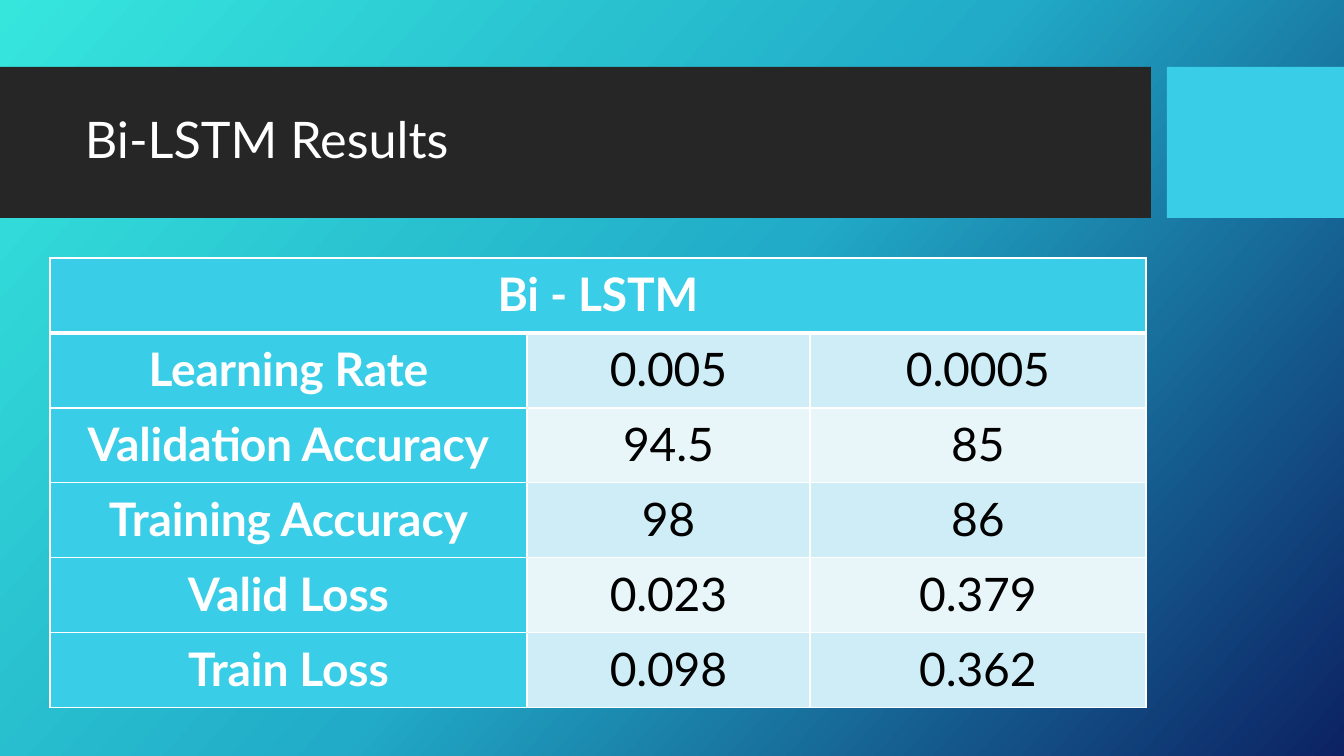
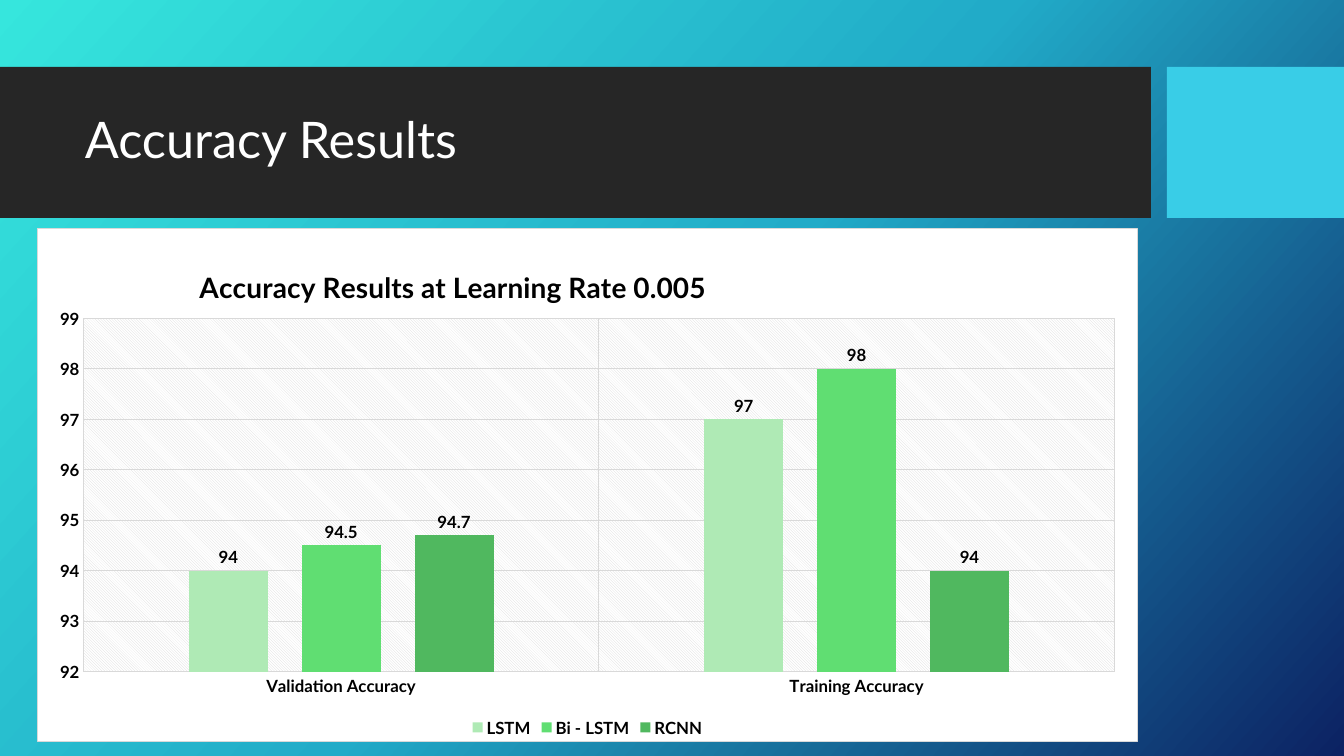
from copy import deepcopy
from dataclasses import dataclass
from typing import Optional

from lxml import etree
from pptx import Presentation, util as u
from pptx.chart.data import CategoryChartData
from pptx.dml.color import RGBColor
from pptx.enum import chart as ch, shapes, text
from pptx.oxml import parse_xml
from pptx.oxml.ns import nsdecls, qn

EMU_PER_INCH, PX_PER_INCH = 914400, 100.8
FONT = "Lato"

WHITE = RGBColor(0xFF, 0xFF, 0xFF)
BLACK = RGBColor(0x00, 0x00, 0x00)
CHARCOAL = RGBColor(0x26, 0x26, 0x26)
CYAN = RGBColor(0x39, 0xCD, 0xE7)
BAND_DARK = RGBColor(0xCE, 0xED, 0xF6)
BAND_LIGHT = RGBColor(0xE8, 0xF6, 0xFA)
GRID_GREY = RGBColor(0xD9, 0xD9, 0xD9)
BACKGROUND_STOPS = (
    (0.0, RGBColor(0x36, 0xE6, 0xDD)),
    (0.5, RGBColor(0x21, 0xAB, 0xC8)),
    (1.0, RGBColor(0x0C, 0x22, 0x63)),
)
BACKGROUND_ANGLE = 42


def px(length: int) -> int:
    return round(length * EMU_PER_INCH / PX_PER_INCH)


@dataclass(frozen=True)
class Box:
    left: int
    top: int
    width: int
    height: int

    def emu(self) -> tuple[int, int, int, int]:
        return px(self.left), px(self.top), px(self.width), px(self.height)


@dataclass(frozen=True)
class Band:
    box: Box
    color: RGBColor


@dataclass(frozen=True)
class Series:
    name: str
    values: tuple[float, ...]
    color: RGBColor


BANDS = (
    Band(Box(0, 67, 1151, 151), CHARCOAL),
    Band(Box(1167, 67, 177, 151), CYAN),
)
TITLE_BOX = Box(75, 83, 1059, 119)

TABLE_BOX = Box(50, 258, 1096, 450)
COLUMN_WIDTHS = (477, 283, 336)
RESULT_ROWS = (
    ("Bi - LSTM", "", ""),
    ("Learning Rate", "0.005", "0.0005"),
    ("Validation Accuracy", "94.5", "85"),
    ("Training Accuracy", "98", "86"),
    ("Valid Loss", "0.023", "0.379"),
    ("Train Loss", "0.098", "0.362"),
)

CHART_BOX = Box(37, 228, 1101, 514)
PLOT_BOX = Box(83, 318, 1032, 354)
CHART_TITLE_BOX = Box(194, 261, 527, 36)
CATEGORIES = ("Validation Accuracy", "Training Accuracy")
ACCURACY = (
    Series("LSTM", (94, 97), RGBColor(0xAF, 0xEA, 0xB5)),
    Series("Bi - LSTM", (94.5, 98), RGBColor(0x60, 0xDE, 0x72)),
    Series("RCNN", (94.7, 94), RGBColor(0x50, 0xB8, 0x5F)),
)


def style_font(font, *, size: float, color: RGBColor, bold: bool) -> None:
    font.name = FONT
    font.size = u.Pt(size)
    font.bold = bold
    font.color.rgb = color


def write(frame, content: str, *, size: float, color: RGBColor, bold: bool = False,
          align: Optional[text.PP_ALIGN] = None, line_spacing: Optional[float] = None,
          space_after: Optional[float] = None, tracking: Optional[float] = None) -> None:
    """Fill a text frame with one formatted paragraph; sizes are in points."""
    para = frame.paragraphs[0]
    para.alignment = align
    para.line_spacing = line_spacing
    if space_after is not None:
        para.space_after = u.Pt(space_after)
    span = para.add_run()
    span.text = content
    style_font(span.font, size=size, color=color, bold=bold)
    if tracking is not None:
        span._r.get_or_add_rPr().set("spc", str(round(tracking * 100)))


def set_background(master) -> None:
    fill = master.background.fill
    fill.gradient()
    stop_list = next(master.element.iter(qn("a:gsLst")))
    stop_list.append(deepcopy(stop_list[0]))
    for stop, (position, color) in zip(fill.gradient_stops, BACKGROUND_STOPS):
        stop.position = position
        stop.color.rgb = color
    fill.gradient_angle = 360 - BACKGROUND_ANGLE


def add_page(deck, title: str):
    """Add a blank page with the shared bands and title."""
    page = deck.slides.add_slide(deck.slide_layouts[6])
    for band in BANDS:
        shape = page.shapes.add_shape(shapes.MSO_SHAPE.RECTANGLE, *band.box.emu())
        shape.shadow.inherit = False
        shape.fill.solid()
        shape.fill.fore_color.rgb = band.color
        shape.line.fill.background()
    frame = page.shapes.add_textbox(*TITLE_BOX.emu()).text_frame
    frame.word_wrap = True
    frame.vertical_anchor = text.MSO_ANCHOR.MIDDLE
    write(frame, title, size=36, color=WHITE, line_spacing=0.9)
    return page


def add_border(cell, side: str, width: float) -> None:
    """Draw one white cell edge; side is L, R, T or B."""
    properties = cell._tc.get_or_add_tcPr()
    line = etree.SubElement(properties, qn(f"a:ln{side}"), w=str(u.Pt(width)))
    fill = etree.SubElement(line, qn("a:solidFill"))
    etree.SubElement(fill, qn("a:srgbClr"), val=str(WHITE))


def style_cell(cell, row: int, column: int) -> bool:
    """Set borders, margins and fill; return whether it is a heading cell."""
    heading = row == 0 or column == 0
    widths = {"L": 1, "R": 1, "T": 3 if row == 1 else 1, "B": 3 if row == 0 else 1}
    for side, width in widths.items():
        add_border(cell, side, width)
    cell.fill.solid()
    band = BAND_DARK if row % 2 else BAND_LIGHT
    cell.fill.fore_color.rgb = CYAN if heading else band
    cell.vertical_anchor = text.MSO_ANCHOR.MIDDLE
    cell.margin_left = cell.margin_right = px(25)
    cell.margin_top = cell.margin_bottom = 0
    return heading


def add_results_table(page) -> None:
    table = page.shapes.add_table(
        len(RESULT_ROWS), len(COLUMN_WIDTHS), *TABLE_BOX.emu()).table
    table.first_row = table.horz_banding = False
    for column, width in zip(table.columns, COLUMN_WIDTHS):
        column.width = px(width)
    for row in table.rows:
        row.height = px(TABLE_BOX.height // len(RESULT_ROWS))
    table.cell(0, 0).merge(table.cell(0, len(COLUMN_WIDTHS) - 1))
    for r, values in enumerate(RESULT_ROWS):
        for c, value in enumerate(values):
            cell = table.cell(r, c)
            heading = style_cell(cell, r, c)
            if value:
                write(cell.text_frame, value, size=33, bold=heading,
                      color=WHITE if heading else BLACK, tracking=-0.1,
                      align=text.PP_ALIGN.CENTER, line_spacing=0.95, space_after=6)


def place_in_chart(element, box: Box, *, sized: bool = False) -> None:
    """Give a chart part a manual layout, as fractions of the chart."""
    for old in element.findall(qn("c:layout")):
        element.remove(old)
    layout = etree.Element(qn("c:layout"))
    manual = etree.SubElement(layout, qn("c:manualLayout"))
    settings = {"layoutTarget": "inner"} if sized else {}
    settings |= {
        "xMode": "edge",
        "yMode": "edge",
        "x": (box.left - CHART_BOX.left) / CHART_BOX.width,
        "y": (box.top - CHART_BOX.top) / CHART_BOX.height,
    }
    if sized:
        settings |= {"w": box.width / CHART_BOX.width, "h": box.height / CHART_BOX.height}
    for name, value in settings.items():
        etree.SubElement(manual, qn(f"c:{name}"), val=str(value))
    element.insert(0 if element.find(qn("c:tx")) is None else 1, layout)


def fill_chart_areas(chart) -> None:
    """Put a white bordered panel behind the chart and hatching behind the plot."""
    panel = parse_xml(
        f'<c:spPr {nsdecls("c", "a")}>'
        f'<a:solidFill><a:srgbClr val="{WHITE}"/></a:solidFill>'
        f'<a:ln w="{u.Pt(0.75)}"><a:solidFill><a:srgbClr val="{GRID_GREY}"/></a:solidFill></a:ln>'
        '</c:spPr>')
    hatching = parse_xml(
        f'<c:spPr {nsdecls("c", "a")}><a:pattFill prst="ltDnDiag">'
        f'<a:fgClr><a:srgbClr val="{GRID_GREY}"/></a:fgClr>'
        f'<a:bgClr><a:srgbClr val="{WHITE}"/></a:bgClr>'
        '</a:pattFill><a:ln><a:noFill/></a:ln></c:spPr>')
    chart.element.find(qn("c:chart")).addnext(panel)
    next(chart.element.iter(qn("c:plotArea"))).append(hatching)


def style_line(line) -> None:
    line.color.rgb = GRID_GREY
    line.width = u.Pt(0.75)


def style_axes(chart) -> None:
    for axis in (chart.category_axis, chart.value_axis):
        axis.major_tick_mark = axis.minor_tick_mark = ch.XL_TICK_MARK.NONE
        axis.has_major_gridlines = True
        style_line(axis.major_gridlines.format.line)
        style_font(axis.tick_labels.font, size=12, color=BLACK, bold=True)
    style_line(chart.category_axis.format.line)
    chart.value_axis.format.line.fill.background()
    chart.value_axis.minimum_scale = 92
    chart.value_axis.maximum_scale = 99
    chart.value_axis.major_unit = 1


def add_accuracy_chart(page) -> None:
    data = CategoryChartData()
    data.categories = CATEGORIES
    for entry in ACCURACY:
        data.add_series(entry.name, entry.values)
    chart = page.shapes.add_chart(
        ch.XL_CHART_TYPE.COLUMN_CLUSTERED, *CHART_BOX.emu(), data).chart
    style_font(chart.font, size=10, color=BLACK, bold=True)

    chart.has_title = True
    write(chart.chart_title.text_frame, "Accuracy Results at Learning Rate 0.005",
          size=20, color=BLACK, bold=True)
    place_in_chart(chart.chart_title.element, CHART_TITLE_BOX)
    place_in_chart(next(chart.element.iter(qn("c:plotArea"))), PLOT_BOX, sized=True)

    chart.has_legend = True
    chart.legend.position = ch.XL_LEGEND_POSITION.BOTTOM
    chart.legend.include_in_layout = False
    style_font(chart.legend.font, size=12, color=BLACK, bold=True)

    plot = chart.plots[0]
    plot.gap_width = 267
    plot.overlap = -43
    plot.vary_by_categories = False
    for series, entry in zip(plot.series, ACCURACY):
        series.format.fill.solid()
        series.format.fill.fore_color.rgb = entry.color
        labels = series.data_labels
        labels.show_value = True
        labels.position = ch.XL_LABEL_POSITION.OUTSIDE_END
        style_font(labels.font, size=12, color=BLACK, bold=True)

    style_axes(chart)
    fill_chart_areas(chart)


def main() -> None:
    deck = Presentation()
    deck.slide_width, deck.slide_height = px(1344), px(756)
    set_background(deck.slide_master)
    add_results_table(add_page(deck, "Bi-LSTM Results"))
    add_accuracy_chart(add_page(deck, "Accuracy Results"))
    deck.save("out.pptx")


if __name__ == "__main__":
    main()
